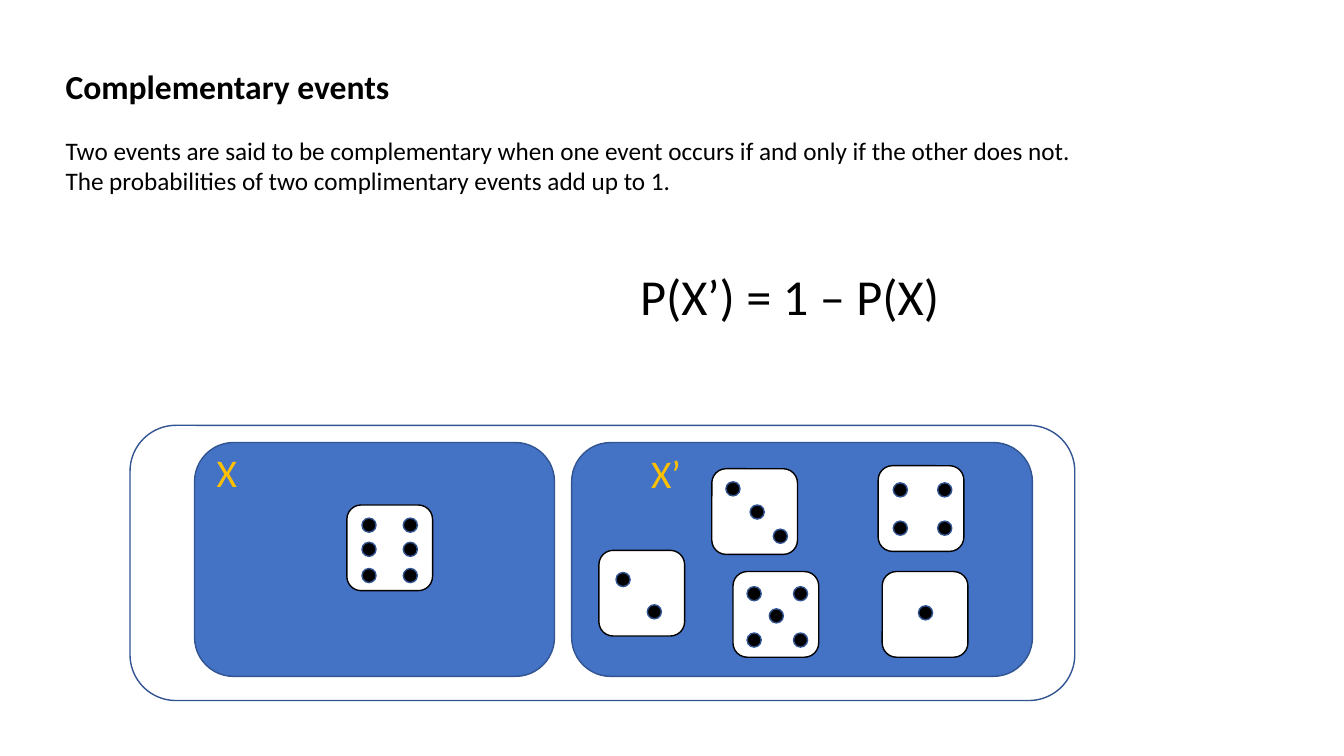
"""Build a slide on complementary events, shown with dice."""
from itertools import product

from pptx import Presentation
from pptx.dml.color import RGBColor
from pptx.enum.shapes import MSO_SHAPE
from pptx.enum.text import MSO_ANCHOR, MSO_AUTO_SIZE, PP_ALIGN
from pptx.util import Emu, Pt

PX = 9144
DIE, PIP = 85, 14
BLACK = RGBColor(0x00, 0x00, 0x00)
WHITE = RGBColor(0xFF, 0xFF, 0xFF)
BLUE = RGBColor(0x44, 0x72, 0xC4)
NAVY = RGBColor(0x32, 0x54, 0x91)
GOLD = RGBColor(0xFF, 0xC0, 0x00)

PANELS = [
    (129, 422, 937, 273, None),
    (193, 439, 357, 232, BLUE),
    (567, 439, 457, 232, BLUE),
]
DICE = [
    (875, 567, [(36, 34)]),
    (594, 546, [(17, 22), (48, 54)]),
    (706, 465, [(14, 13), (38, 36), (61, 60)]),
    (871, 462, [*product((15, 59), (17, 55))]),
    (727, 567, [*product((14, 60), (15, 61)), (36, 37)]),
    (344, 501, [*product((15, 56), (13, 37, 63))]),
]


def scale(*box):
    """Turn px lengths into EMU."""
    return [Emu(n * PX) for n in box]


def draw(group, kind, box, fill, line):
    """Add a preset shape to the group."""
    shape = group.shapes.add_shape(kind, *scale(*box))
    shape.shadow.inherit = False
    if fill is None:
        shape.fill.background()
    else:
        shape.fill.solid()
        shape.fill.fore_color.rgb = fill
    shape.line.color.rgb = line
    shape.line.width = Pt(1)


def add_die(group, left, top, pips):
    """Add a die with its pips."""
    draw(group, MSO_SHAPE.ROUNDED_RECTANGLE, (left, top, DIE, DIE), WHITE, BLACK)
    for x, y in pips:
        draw(group, MSO_SHAPE.OVAL, (left + x, top + y, PIP, PIP), BLACK, NAVY)


def style(frame, size, color, bold=False):
    """Format every run in a text frame."""
    for para in frame.paragraphs:
        para.alignment = PP_ALIGN.LEFT
        para.space_before = Pt(0)
        for run in para.runs:
            run.font.name = "Calibri"
            run.font.size = Pt(size)
            run.font.bold = bold
            run.font.color.rgb = color


def add_label(parent, box, text, size, color):
    """Add a one-line text box."""
    frame = parent.shapes.add_textbox(*scale(*box)).text_frame
    frame.word_wrap = False
    frame.text = text
    style(frame, size, color)


def fill_holder(holder, box, text, size, bold=False):
    """Place a placeholder and set its text without bullets."""
    holder.left, holder.top, holder.width, holder.height = scale(*box)
    frame = holder.text_frame
    frame.text = text
    frame.auto_size = MSO_AUTO_SIZE.NONE
    frame.vertical_anchor = MSO_ANCHOR.TOP
    for para in frame.paragraphs:
        props = para._p.get_or_add_pPr()
        props.set("marL", "0")
        props.set("indent", "0")
        props.insert_element_before(
            props.makeelement("{http://schemas.openxmlformats.org/drawingml/2006/main}buNone"),
            "a:tabLst", "a:defRPr", "a:extLst")
    style(frame, size, BLACK, bold)


def main():
    """Build and save the slide."""
    deck = Presentation()
    deck.slide_width, deck.slide_height = scale(1333, 750)
    slide = deck.slides.add_slide(deck.slide_layouts[1])
    title, body = slide.placeholders
    fill_holder(title, (55, 60, 1230, 51), "Complementary events", 24, True)
    fill_holder(
        body, (55, 129, 1230, 71),
        "Two events are said to be complementary when one event occurs if and only if the other does not.\n"
        "The probabilities of two complimentary events add up to 1.", 18)
    group = slide.shapes.add_group_shape()
    for *box, fill in PANELS:
        draw(group, MSO_SHAPE.ROUNDED_RECTANGLE, box, fill, NAVY)
    for die in DICE:
        add_die(group, *die)
    add_label(group, (205, 440, 41, 57), "X", 28, GOLD)
    add_label(group, (636, 441, 50, 57), "X’", 28, GOLD)
    add_label(slide, (625, 258, 319, 71), "P(X’) = 1 – P(X)", 36, BLACK)
    deck.save("out.pptx")


if __name__ == "__main__":
    main()
